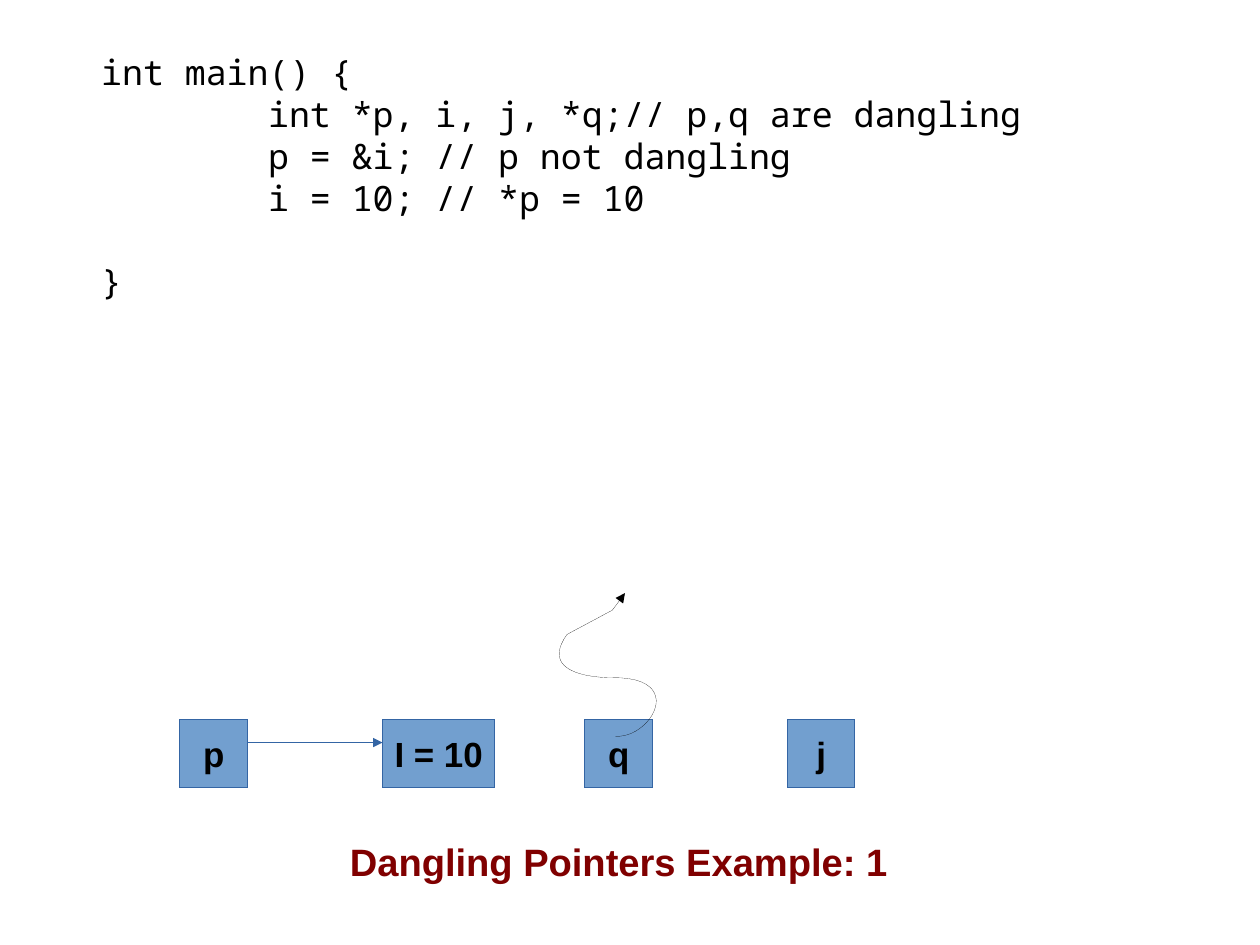
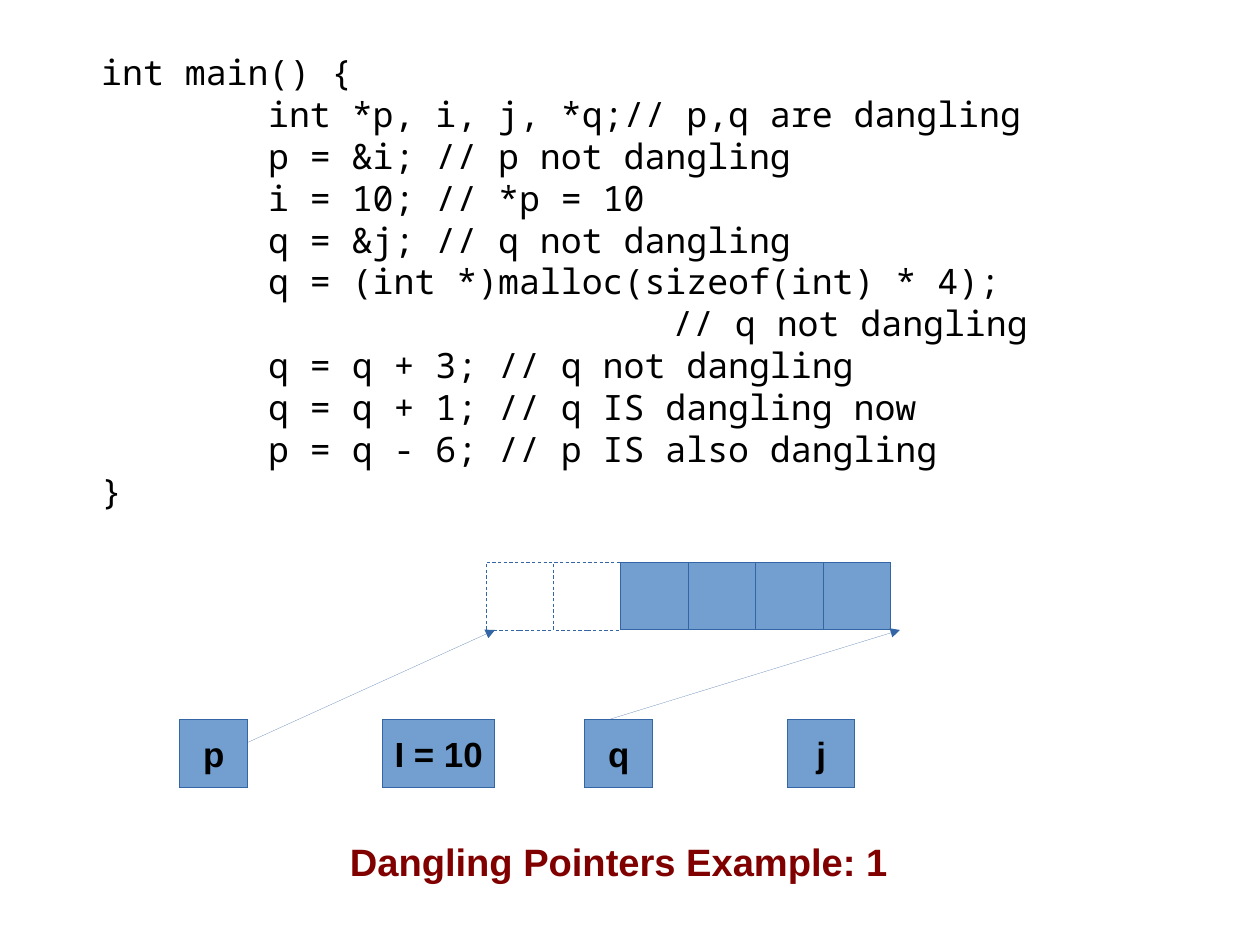
from lxml import etree
from pptx import Presentation
from pptx.dml.color import RGBColor
from pptx.enum import dml, shapes, text
from pptx.oxml.ns import qn
from pptx.util import Inches, Pt

# Shared look
INK, CELL, EDGE, HEADING = "000000", "729FCF", "3465A4", "800000"
CODE_FONT = {"name": "Noto Sans Mono", "size": Pt(22), "bold": False}
LABEL_FONT = {"name": "Arial", "size": Pt(22), "bold": True}
TITLE_FONT = {"name": "Arial", "size": Pt(24), "bold": True}
TITLE = "Dangling Pointers Example: 1"

# Shared geometry, in grid units of one centimetre
UNITS_PER_INCH = 2.54
SIDE = 1.5
VARIABLE_TOP = 16
VARIABLES = [("p", 4, SIDE), ("I = 10", 8.5, 2.5),
             ("q", 13, SIDE), ("j", 17.5, SIDE)]
P_EXIT = (5.5, 16.5)
ARRAY_LEFT, ARRAY_TOP = 10.8, 12.5
ARRAY_BOTTOM = ARRAY_TOP + SIDE
CODE_INDENT, COMMENT_INDENT = 3.71, 12.69
LINE_GAP = Pt(26.4)

# Code lines as (left indent, wording)
OPENING = [
    (0, "int main() {"),
    (CODE_INDENT, "int *p, i, j, *q;// p,q are dangling"),
    (CODE_INDENT, "p = &i; // p not dangling"),
    (CODE_INDENT, "i = 10; // *p = 10"),
]
REASSIGNMENTS = [
    (CODE_INDENT, "q = &j; // q not dangling"),
    (CODE_INDENT, "q = (int *)malloc(sizeof(int) * 4);"),
    (COMMENT_INDENT, "// q not dangling"),
    (CODE_INDENT, "q = q + 3; // q not dangling"),
    (CODE_INDENT, "q = q + 1; // q IS dangling now"),
    (CODE_INDENT, "p = q - 6; // p IS also dangling"),
]
CLOSING = [(0, "}")]


def grid(*units):
    return [Inches(unit / UNITS_PER_INCH) for unit in units]


def color(hex_value):
    return RGBColor.from_string(hex_value)


def apply(target, values):
    for name, value in values.items():
        setattr(target, name, value)


def style_font(font, values, hex_value):
    apply(font, values)
    font.color.rgb = color(hex_value)


def hairline(shape, hex_value, arrow=False):
    shape.line.color.rgb = color(hex_value)
    outline = shape._element.spPr.get_or_add_ln()
    outline.set("w", "0")
    if arrow:
        etree.SubElement(outline, qn("a:tailEnd")).set("type", "triangle")


def add_box(slide, left, top, width=SIDE, label="", dashed=False):
    box = slide.shapes.add_shape(
        shapes.MSO_SHAPE.RECTANGLE, *grid(left, top, width, SIDE))
    box.shadow.inherit = False
    hairline(box, EDGE)
    if dashed:
        box.fill.background()
        apply(box.line, {"width": Pt(0.5), "dash_style": dml.MSO_LINE.DASH})
    else:
        box.fill.solid()
        box.fill.fore_color.rgb = color(CELL)
    if label:
        frame = box.text_frame
        apply(frame, {"text": label, "word_wrap": False,
                      "vertical_anchor": text.MSO_ANCHOR.MIDDLE})
        paragraph = frame.paragraphs[0]
        paragraph.alignment = text.PP_ALIGN.CENTER
        style_font(paragraph.runs[0].font, LABEL_FONT, INK)


def add_arrow(slide, start, end):
    arrow = slide.shapes.add_connector(
        shapes.MSO_CONNECTOR.STRAIGHT, *grid(*start, *end))
    hairline(arrow, EDGE, arrow=True)
    etree.SubElement(arrow._element.spPr, qn("a:effectLst"))


def bezier(*controls, steps=24):
    """Points along a cubic curve, without its first point."""
    for step in range(1, steps + 1):
        t = step / steps
        weights = ((1 - t) ** 3, 3 * t * (1 - t) ** 2,
                   3 * t ** 2 * (1 - t), t ** 3)
        yield tuple(sum(w * v for w, v in zip(weights, axis))
                    for axis in zip(*controls))


def add_stray_pointer(slide):
    start, middle, turn = (13.67, 16.36), (13.61, 15.06), (12.6, 14.1)
    points = [
        *bezier(start, (14.45, 16.43), (15.29, 15.04), middle),
        *bezier(middle, (13.16, 15.06), (11.99, 14.96), turn),
        (13.61, 13.56), (13.89, 13.18),
    ]
    builder = slide.shapes.build_freeform(*grid(*start))
    builder.add_line_segments([grid(*point) for point in points], close=False)
    pointer = builder.convert_to_shape()
    pointer.shadow.inherit = False
    pointer.fill.background()
    hairline(pointer, INK, arrow=True)


def add_code(slide, lines, height, closing_gap=0):
    listing = slide.shapes.add_textbox(*grid(2, 1, 23.82, height))
    frame = listing.text_frame
    frame.word_wrap = True
    for number, (indent, wording) in enumerate(lines):
        paragraph = frame.add_paragraph() if number else frame.paragraphs[0]
        paragraph.text = wording
        paragraph._p.get_or_add_pPr().set("marL", str(grid(indent)[0]))
        style_font(paragraph.runs[0].font, CODE_FONT, INK)
    paragraph.space_before = closing_gap


def add_title(slide):
    title = slide.shapes.title
    apply(title, dict(zip(("left", "top", "width", "height"),
                          grid(2.5, 18.5, 22.5, 1.2))))
    frame = title.text_frame
    apply(frame, {"text": TITLE, "word_wrap": True,
                  "auto_size": text.MSO_AUTO_SIZE.NONE,
                  "vertical_anchor": text.MSO_ANCHOR.TOP})
    paragraph = frame.paragraphs[0]
    paragraph.alignment = text.PP_ALIGN.CENTER
    style_font(paragraph.runs[0].font, TITLE_FONT, HEADING)


def add_example(deck, lines, height, closing_gap=0):
    """A slide with the code, the four variables and the title."""
    slide = deck.slides.add_slide(deck.slide_layouts[5])
    add_title(slide)
    add_code(slide, lines, height, closing_gap)
    for label, left, width in VARIABLES:
        add_box(slide, left, VARIABLE_TOP, width, label)
    return slide


def main():
    deck = Presentation()
    deck.slide_width, deck.slide_height = grid(28, 21)

    # p points to i, q is dangling
    start = add_example(deck, OPENING + CLOSING, 10, LINE_GAP)
    add_stray_pointer(start)
    add_arrow(start, P_EXIT, (8.5, 16.5))

    # Both pointers leave the allocated array
    finish = add_example(deck, OPENING + REASSIGNMENTS + CLOSING, 10.18)
    for index in range(6):
        add_box(finish, ARRAY_LEFT + index * SIDE, ARRAY_TOP,
                dashed=index < 2)
    add_arrow(finish, P_EXIT, (11, ARRAY_BOTTOM))
    add_arrow(finish, (13.5, VARIABLE_TOP), (20, ARRAY_BOTTOM))

    deck.save("out.pptx")


if __name__ == "__main__":
    main()
